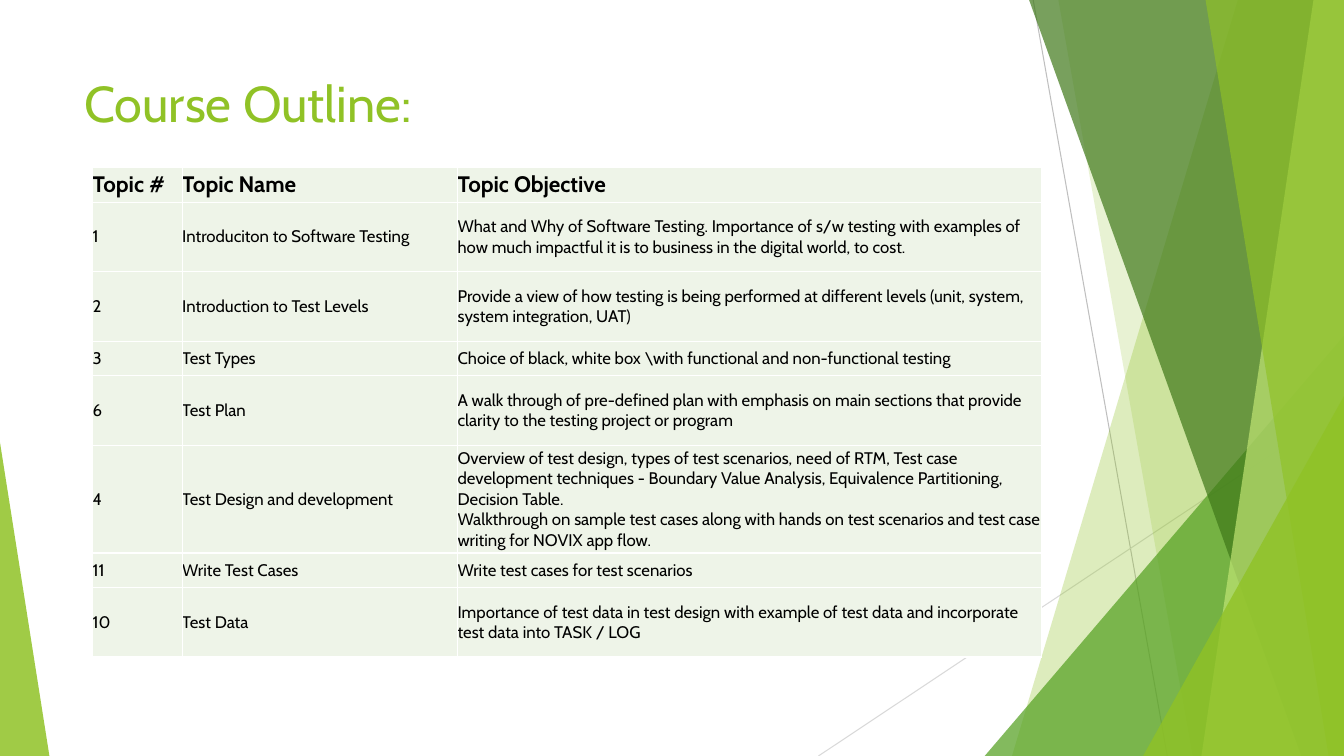
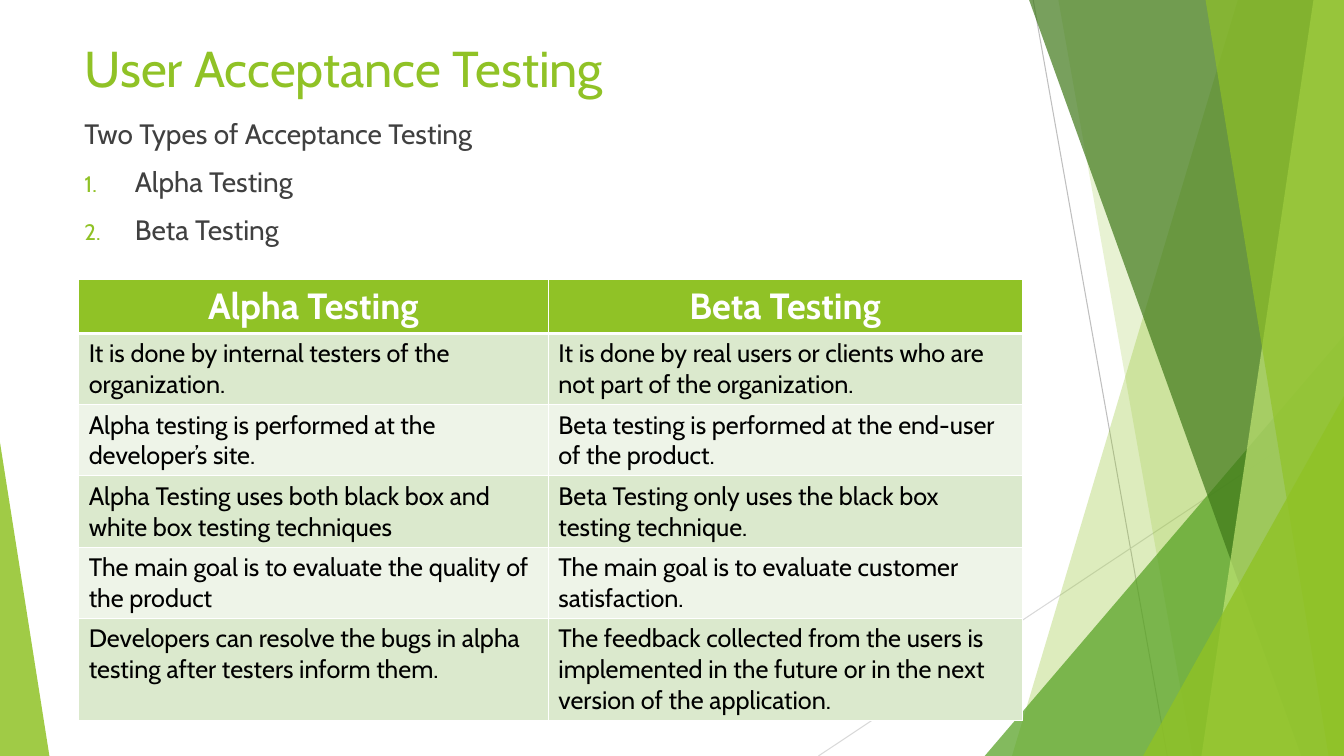
from lxml import etree
from pptx import Presentation
from pptx.dml.color import RGBColor
from pptx.enum.shapes import MSO_CONNECTOR, MSO_SHAPE
from pptx.enum.text import MSO_ANCHOR, PP_ALIGN
from pptx.oxml.ns import qn
from pptx.util import Pt

STRAIGHT = MSO_CONNECTOR.STRAIGHT
TRIANGLE = MSO_SHAPE.ISOSCELES_TRIANGLE
TOP, MIDDLE = MSO_ANCHOR.TOP, MSO_ANCHOR.MIDDLE
LEFT, CENTER = PP_ALIGN.LEFT, PP_ALIGN.CENTER

FONT = "Cabin"
GREEN, MID_GREEN, DARK_GREEN, LIME = "90C226", "54A021", "3F7819", "C0E474"
BAND, PALE = "DBE9CD", "EEF4E8"
WHITE, BLACK, GREY = "FFFFFF", "000000", "404040"
SLIDE_W, SLIDE_H = 960, 540
CELL_INSETS = (7.2, 3.6)

LINES = [
    ((738, 0), (833.8, 540), "BFBFBF"),
    ((960, 290.2), (584.6, 540), "D9D9D9"),
]
BACK_BANDS = [(884.2, 722.9, GREEN, 30), (756, 851.8, GREEN, 20)]
FRONT_BANDS = [
    (735.1, 929.5, DARK_GREEN, 70),
    (938.2, 858.2, LIME, 70),
    (861.1, 949, GREEN, 65),
]
BACK_TRIANGLE = (703.4, 239.8, 256.6, 1, MID_GREEN, 72)
FRONT_TRIANGLES = [
    (816.5, 283, 143.5, 1, GREEN, 80),
    (0, 316.1, 35.3, 0, GREEN, 85),
]

OUTLINE = [
    ("Topic #", "Topic Name", "Topic Objective"),
    ("1", "Introduciton to Software Testing",
     "What and Why of Software Testing. Importance of s/w testing with examples of "
     "how much impactful it is to business in the digital world, to cost."),
    ("2", "Introduction to Test Levels",
     "Provide a view of how testing is being performed at different levels "
     "(unit, system, system integration, UAT)"),
    ("3", "Test Types",
     "Choice of black, white box \\with functional and non-functional testing"),
    ("6", "Test Plan",
     "A walk through of pre-defined plan with emphasis on main sections that provide "
     "clarity to the testing project or program"),
    ("4", "Test Design and development",
     "Overview of test design, types of test scenarios, need of RTM, Test case "
     "development techniques - Boundary Value Analysis, Equivalence Partitioning, "
     "Decision Table.\nWalkthrough on sample test cases along with hands on test "
     "scenarios and test case writing for NOVIX app flow."),
    ("11", "Write Test Cases", "Write test cases for test scenarios"),
    ("10", "Test Data",
     "Importance of test data in test design with example of test data and "
     "incorporate test data into TASK / LOG"),
]
COMPARISON = [
    ("Alpha Testing", "Beta Testing"),
    ("It is done by internal testers of the organization.",
     "It is done by real users or clients who are not part of the organization."),
    ("Alpha testing is performed at the developer’s site.",
     "Beta testing is performed at the end-user of the product."),
    ("Alpha Testing uses both black box and white box testing techniques",
     "Beta Testing only uses the black box testing technique."),
    ("The main goal is to evaluate the quality of the product",
     "The main goal is to evaluate customer satisfaction."),
    ("Developers can resolve the bugs in alpha testing after testers inform them.",
     "The feedback collected from the users is implemented in the future or in the "
     "next version of the application."),
]


def rgb(color):
    return RGBColor.from_string(color)


def add_xml(parent, tag, **attrs):
    return etree.SubElement(parent, qn(tag), attrs)


def add_run(p, text, size, color, bold=False):
    r = p.add_run()
    r.text = text
    r.font.name = FONT
    r.font.size = Pt(size)
    r.font.bold = bold
    r.font.color.rgb = rgb(color)


def paint(sp, color, opacity):
    sp.shadow.inherit = False
    sp.fill.solid()
    sp.fill.fore_color.rgb = rgb(color)
    sp.line.fill.background()
    clr = sp.element.spPr.find(qn("a:solidFill")).find(qn("a:srgbClr"))
    add_xml(clr, "a:alpha", val=str(opacity * 1000))


def add_decor(s, x, y, w, h):
    shapes = s.shapes.add_group_shape().shapes

    def add_band(top_x, bottom_x, color, opacity):
        right, top, bottom = Pt(x + w), Pt(y), Pt(y + h)
        outline = shapes.build_freeform(Pt(x + top_x), top, scale=1.0)
        outline.add_line_segments(
            [(right, top), (right, bottom), (Pt(x + bottom_x), bottom)], close=True)
        paint(outline.convert_to_shape(), color, opacity)

    def add_triangle(left, top, width, apex, color, opacity):
        sp = shapes.add_shape(TRIANGLE, Pt(x + left), Pt(y + top), Pt(width), Pt(h - top))
        sp.adjustments[0] = apex
        paint(sp, color, opacity)

    for (x1, y1), (x2, y2), color in LINES:
        line = shapes.add_connector(STRAIGHT, Pt(x + x1), Pt(y + y1), Pt(x + x2), Pt(y + y2))
        line.line.color.rgb = rgb(color)
        line.line.width = Pt(0.75)
        add_xml(line.element.spPr, "a:effectLst")
    for band in BACK_BANDS:
        add_band(*band)
    add_triangle(*BACK_TRIANGLE)
    for band in FRONT_BANDS:
        add_band(*band)
    for triangle in FRONT_TRIANGLES:
        add_triangle(*triangle)


def add_text_box(s, x, y, w, h):
    tf = s.shapes.add_textbox(Pt(x), Pt(y), Pt(w), Pt(h)).text_frame
    tf.word_wrap = True
    tf.vertical_anchor = TOP
    return tf


def add_title(s, text, x, y, w, h):
    tf = add_text_box(s, x, y, w, h)
    add_run(tf.paragraphs[0], text, 36, GREEN)


def add_numbered_list(s, intro, items, x, y, w, h):
    tf = add_text_box(s, x, y, w, h)
    for i, text in enumerate([intro] + items):
        p = tf.paragraphs[0] if i == 0 else tf.add_paragraph()
        p.space_before = Pt(10)
        add_run(p, text, 20, GREY)
        if i:
            pPr = p._p.get_or_add_pPr()
            pPr.set("marL", str(Pt(36)))
            pPr.set("indent", str(-Pt(36)))
            add_xml(add_xml(pPr, "a:buClr"), "a:srgbClr", val=GREEN)
            add_xml(pPr, "a:buSzPct", val="80000")
            add_xml(pPr, "a:buFont", typeface=FONT)
            add_xml(pPr, "a:buAutoNum", type="arabicPeriod")


def set_borders(cell, bottom):
    tcPr = cell._tc.get_or_add_tcPr()
    for i, (side, width) in enumerate([("L", 1), ("R", 1), ("T", 1), ("B", bottom)]):
        ln = etree.Element(qn("a:ln" + side), w=str(Pt(width)))
        add_xml(add_xml(ln, "a:solidFill"), "a:srgbClr", val=WHITE)
        tcPr.insert(i, ln)


def fill_cell(cell, text, fill, size, color, bold, align, anchor, insets, bottom):
    cell.fill.solid()
    cell.fill.fore_color.rgb = rgb(fill)
    cell.margin_left = cell.margin_right = Pt(insets[0])
    cell.margin_top = cell.margin_bottom = Pt(insets[1])
    cell.vertical_anchor = anchor
    p = cell.text_frame.paragraphs[0]
    p.alignment = align
    for i, part in enumerate(text.split("\n")):
        if i:
            p.add_line_break()
        add_run(p, part, size, color, bold)
    set_borders(cell, bottom)


def add_grid(s, rows, x, y, widths, heights, head, body, fills,
             anchor=TOP, insets=CELL_INSETS):
    table = s.shapes.add_table(len(rows), len(widths), Pt(x), Pt(y),
                               Pt(sum(widths)), Pt(sum(heights))).table
    table.horz_banding = False
    for column, width in zip(table.columns, widths):
        column.width = Pt(width)
    for r, (texts, height) in enumerate(zip(rows, heights)):
        table.rows[r].height = Pt(height)
        style = body if r else head
        fill = fills[1 + (r - 1) % (len(fills) - 1)] if r else fills[0]
        for c, text in enumerate(texts):
            fill_cell(table.cell(r, c), text, fill, anchor=anchor, insets=insets, **style)


def build_outline(s, x, y, w, h):
    add_decor(s, x, y, w, h)
    add_title(s, "Course Outline:", x + 53.3, y + 48, 676.8, 56.9)
    body = dict(size=12, color=BLACK, bold=False, align=LEFT, bottom=1)
    short, tall = 24.7, 49.7
    add_grid(s, OUTLINE, x + 66.2, y + 119.7, [64, 196.7, 417.3],
             [short, tall, tall, short, tall, 76.8, short, tall],
             {**body, "size": 16, "bold": True}, body, [PALE, PALE],
             anchor=MIDDLE, insets=(0, 0))


def build_acceptance(s, x, y, w, h):
    add_decor(s, x, y, w, h)
    add_title(s, "User Acceptance Testing", x + 53.3, y + 23, 676.8, 56.9)
    add_numbered_list(s, "Two Types of Acceptance Testing",
                      ["Alpha Testing", "Beta Testing"], x + 53.3, y + 79.9, 676.8, 110)
    head = dict(size=26, color=WHITE, bold=True, align=CENTER, bottom=3)
    body = dict(size=18, color=BLACK, bold=False, align=LEFT, bottom=1)
    add_grid(s, COMPARISON, x + 56.2, y + 199.4, [335.5, 338.4],
             [38.8] + [50.9] * 4 + [72.8], head, body, [GREEN, BAND, PALE])


def main():
    prs = Presentation()
    prs.slide_width, prs.slide_height = Pt(SLIDE_W), Pt(SLIDE_H)
    for build in (build_outline, build_acceptance):
        s = prs.slides.add_slide(prs.slide_layouts[6])
        build(s, 0, 0, SLIDE_W, SLIDE_H)
    prs.save("out.pptx")


if __name__ == "__main__":
    main()
